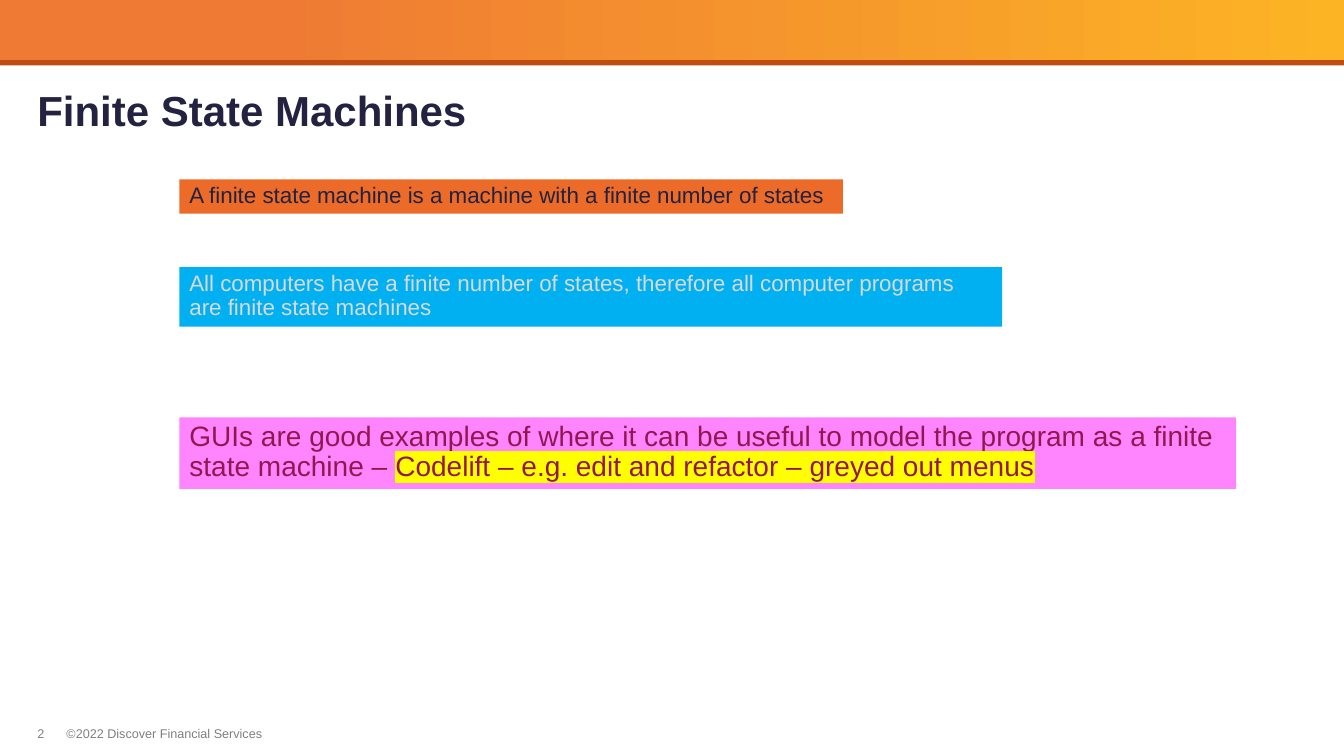
from dataclasses import dataclass

from lxml import etree
from pptx import Presentation
from pptx.dml.color import RGBColor
from pptx.enum import shapes, text
from pptx.oxml import ns
from pptx.util import Inches, Pt


@dataclass(frozen=True)
class Theme:
    font: str = "Arial"
    navy: str = "232241"
    grey: str = "808080"
    pale: str = "D9D9D9"
    plum: str = "941651"
    rust: str = "BF4C11"
    gold: str = "FCB424"
    amber: str = "EF7A34"
    orange: str = "EC6B29"
    blue: str = "00B0F0"
    pink: str = "FF85FF"
    yellow: str = "FFFF00"
    head: int = 30
    large: int = 20
    body: int = 16
    foot: int = 9


class Deck:
    def __init__(self, theme):
        self.theme = theme
        self.file = Presentation()
        self.file.slide_width = Inches(13.33)
        self.file.slide_height = Inches(7.5)
        self.slide = self.file.slides.add_slide(self.file.slide_layouts[5])

    def label(self, frame, runs, size, color, space=1.0, bold=False):
        """Fill the first paragraph from (words, highlight) pairs."""
        para = frame.paragraphs[0]
        para.alignment = text.PP_ALIGN.LEFT
        para.line_spacing = space
        para.space_before = Pt(0)
        for words, mark in runs:
            run = para.add_run()
            run.text = words
            font = run.font
            font.name, font.size, font.bold = self.theme.font, Pt(size), bold
            font.color.rgb = RGBColor.from_string(color)
            if mark:
                light = etree.Element(ns.qn("a:highlight"))
                etree.SubElement(light, ns.qn("a:srgbClr"), val=mark)
                run._r.rPr.find(ns.qn("a:solidFill")).addnext(light)

    def inset(self, frame, top=0):
        frame.margin_left = frame.margin_right = frame.margin_bottom = 0
        frame.margin_top = Inches(top)

    def title(self, words):
        shape = self.slide.shapes.title
        shape.left, shape.top = Inches(0.37), Inches(0.65)
        shape.width, shape.height = Inches(12.6), Inches(0.85)
        frame = shape.text_frame
        frame.auto_size = text.MSO_AUTO_SIZE.NONE
        frame.vertical_anchor = text.MSO_ANCHOR.MIDDLE
        self.inset(frame, 0.1)
        self.label(frame, [(words, None)], self.theme.head, self.theme.navy,
                   0.85, True)

    def rect(self, left, top, width, height, color):
        shape = self.slide.shapes.add_shape(
            shapes.MSO_SHAPE.RECTANGLE, Inches(left), Inches(top),
            Inches(width), Inches(height))
        shape.shadow.inherit = False
        shape.line.fill.background()
        shape.fill.solid()
        shape.fill.fore_color.rgb = RGBColor.from_string(color)
        return shape

    def banner(self):
        self.rect(0, 0, 13.33, 0.65, self.theme.rust)
        fill = self.rect(0, 0, 13.33, 0.6, self.theme.amber).fill
        fill.gradient()
        fill.gradient_angle = 180
        stops = ((0, self.theme.gold), (0.8, self.theme.amber))
        for stop, (place, color) in zip(fill.gradient_stops, stops):
            stop.position = place
            stop.color.rgb = RGBColor.from_string(color)

    def note(self, top, width, height, fill, runs, size, color):
        """Add a filled box of text on the shared left edge."""
        frame = self.rect(1.78, top, width, height, fill).text_frame
        frame.word_wrap = True
        frame.auto_size = text.MSO_AUTO_SIZE.SHAPE_TO_FIT_TEXT
        frame.vertical_anchor = text.MSO_ANCHOR.TOP
        self.label(frame, runs, size, color, 0.9)

    def footer(self, left, width, words):
        frame = self.slide.shapes.add_textbox(
            Inches(left), Inches(7.2), Inches(width), Inches(0.15)).text_frame
        frame.word_wrap = False
        frame.auto_size = text.MSO_AUTO_SIZE.SHAPE_TO_FIT_TEXT
        self.inset(frame)
        self.label(frame, [(words, None)], self.theme.foot, self.theme.grey)


def main():
    look = Theme()
    deck = Deck(look)
    deck.banner()
    deck.footer(0.66, 1.96, "©2022 Discover Financial Services")
    deck.footer(0.37, 0.15, "2")
    deck.title("Finite State Machines")
    deck.note(1.78, 6.58, 0.34, look.orange,
              [("A finite state machine is a machine with a finite number "
                "of states", None)], look.body, look.navy)
    deck.note(2.65, 8.16, 0.59, look.blue,
              [("All computers have a finite number of states, therefore all "
                "computer programs are finite state machines", None)],
              look.body, look.pale)
    deck.note(4.14, 10.48, 0.71, look.pink,
              [("GUIs are good examples of where it can be useful to model "
                "the program as a finite state machine – ", None),
               ("Codelift – e.g. edit and refactor – greyed out menus",
                look.yellow)], look.large, look.plum)
    deck.file.save("out.pptx")


if __name__ == "__main__":
    main()
